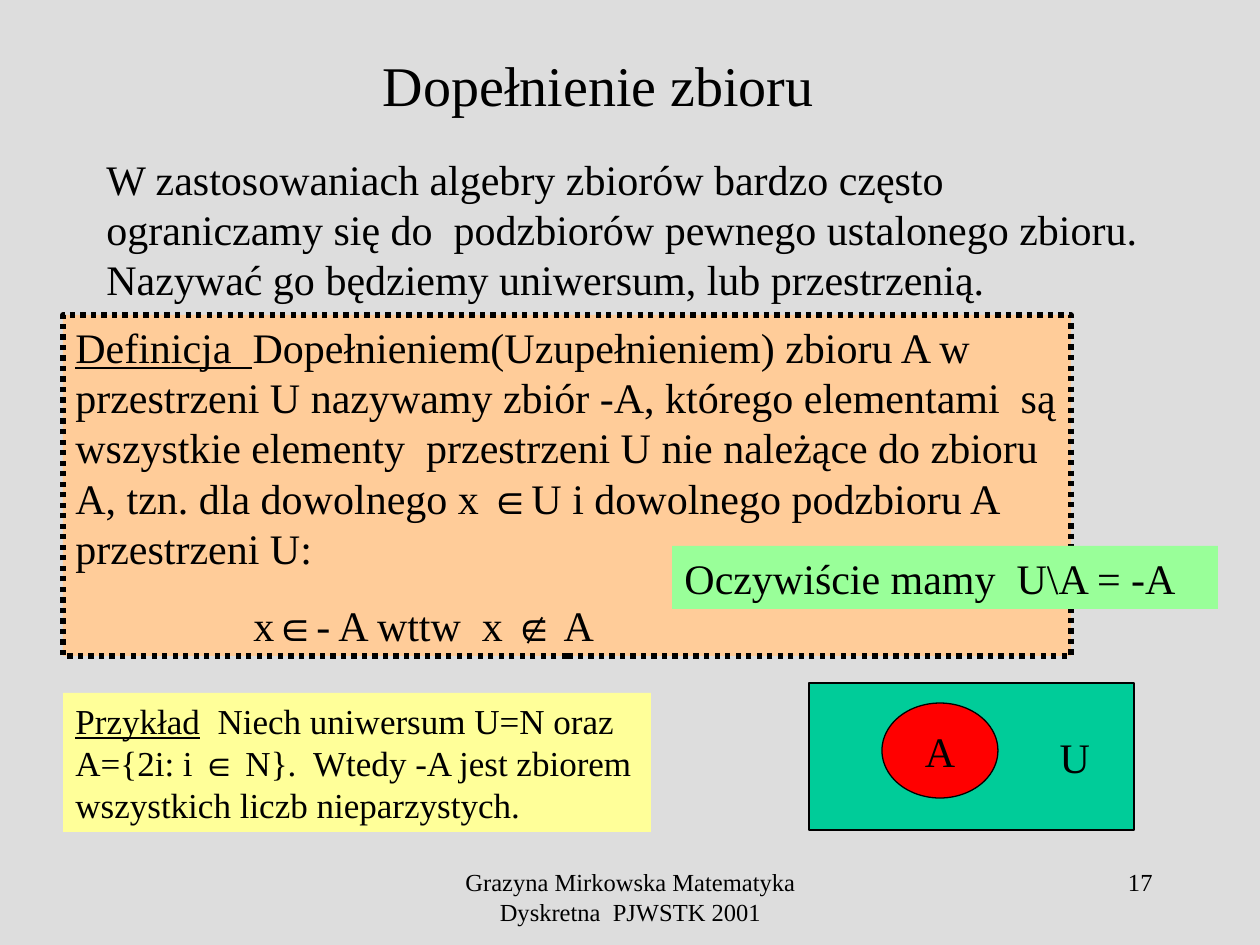
from dataclasses import dataclass
from typing import Optional

from pptx import Presentation
from pptx.dml.color import RGBColor
from pptx.enum.dml import MSO_LINE
from pptx.enum.shapes import MSO_SHAPE as Preset
from pptx.enum.text import MSO_ANCHOR as Anchor, MSO_AUTO_SIZE as AutoSize, PP_ALIGN as Align
from pptx.util import Emu, Pt

PX_PER_INCH = 126
SERIF, SYMBOL = "Times New Roman", "Arial"
COLORS = {
    "page": "DDDDDD", "ink": "000000", "definition": "FFCC99", "remark": "99FF99",
    "example": "FFFF99", "universe": "00CC99", "subset": "FF0000",
}


@dataclass(frozen=True)
class Span:
    text: str
    font: str = SERIF
    underline: bool = False


@dataclass(frozen=True)
class Line:
    spans: tuple[Span, ...]
    before: float = 0
    indent: int = 0


@dataclass(frozen=True)
class Panel:
    place: tuple[int, int, int, int]
    lines: tuple[Line, ...]
    size: int = 24
    fill: Optional[str] = None
    border: float = 0
    dotted: bool = False
    preset: Preset = Preset.RECTANGLE
    align: Align = Align.LEFT
    anchor: Anchor = Anchor.TOP
    right_inset: Optional[int] = None


def px(length: int) -> Emu:
    return Emu(round(length * 914400 / PX_PER_INCH))


def color(name: str) -> RGBColor:
    return RGBColor.from_string(COLORS[name])


def plain(text: str) -> tuple[Line, ...]:
    return (Line((Span(text),)),)


def write(box, panel: Panel) -> None:
    frame = box.text_frame
    frame.word_wrap = True
    frame.auto_size = AutoSize.NONE
    frame.vertical_anchor = panel.anchor
    if panel.right_inset is not None:
        frame.margin_right = px(panel.right_inset)
    for index, line in enumerate(panel.lines):
        para = frame.add_paragraph() if index else frame.paragraphs[0]
        para.alignment = panel.align
        para.space_before = Pt(line.before)
        if line.indent:
            para._p.get_or_add_pPr().set("indent", str(px(line.indent)))
        for span in line.spans:
            run = para.add_run()
            run.text = span.text
            run.font.name = span.font
            run.font.size = Pt(panel.size)
            run.font.underline = span.underline
            run.font.color.rgb = color("ink")


def draw(page, panel: Panel) -> None:
    place = [px(length) for length in panel.place]
    if panel.fill is None:
        box = page.shapes.add_textbox(*place)
    else:
        box = page.shapes.add_shape(panel.preset, *place)
        box.shadow.inherit = False
        box.fill.solid()
        box.fill.fore_color.rgb = color(panel.fill)
        if panel.border:
            box.line.color.rgb = color("ink")
            box.line.width = Pt(panel.border)
            if panel.dotted:
                box.line.dash_style = MSO_LINE.ROUND_DOT
        else:
            box.line.fill.background()
    write(box, panel)


MEMBER, NOT_MEMBER = Span("∈", SYMBOL), Span("∉", SYMBOL)

TITLE = Panel((63, 21, 1071, 126), plain("Dopełnienie zbioru"), size=32,
              align=Align.CENTER, anchor=Anchor.MIDDLE)

PANELS = (
    # Definition
    Panel((63, 315, 1008, 341), (
        Line((Span("Definicja  ", underline=True),
              Span("Dopełnieniem(Uzupełnieniem) zbioru A w przestrzeni U nazywamy "
                   "zbiór -A, którego elementami  są wszystkie elementy  przestrzeni U "
                   "nie należące do zbioru A, tzn. dla dowolnego x "),
              MEMBER, Span("U i dowolnego podzbioru A przestrzeni U:"))),
        Line((Span("x"), MEMBER, Span("- A wttw  x "), NOT_MEMBER, Span(" A")),
             before=15, indent=178),
    ), fill="definition", border=3, dotted=True),
    # Introduction
    Panel((94, 147, 1081, 164), plain(
        "W zastosowaniach algebry zbiorów bardzo często ograniczamy się do  podzbiorów "
        "pewnego ustalonego zbioru. Nazywać go będziemy uniwersum, lub przestrzenią.")),
    # Remark
    Panel((672, 546, 546, 63), plain("Oczywiście mamy  U\\A = -A"), fill="remark"),
    # Example
    Panel((63, 693, 588, 139), (
        Line((Span("Przykład", underline=True),
              Span("  Niech uniwersum U=N oraz A={2i: i "), MEMBER,
              Span(" N}.  Wtedy -A jest zbiorem wszystkich liczb nieparzystych."))),
    ), size=20, fill="example"),
    # Universe U with its subset A
    Panel((809, 683, 325, 147), plain("U"), fill="universe", border=0.75,
          align=Align.RIGHT, anchor=Anchor.MIDDLE, right_inset=44),
    Panel((882, 703, 116, 95), plain("A"), fill="subset", border=0.75,
          preset=Preset.OVAL, align=Align.CENTER, anchor=Anchor.MIDDLE),
    # Footer and page number
    Panel((431, 861, 399, 63), plain("Grazyna Mirkowska Matematyka Dyskretna  PJWSTK 2001"),
          size=14, align=Align.CENTER),
    Panel((903, 861, 262, 63), plain("17"), size=14, align=Align.RIGHT),
)


def main() -> None:
    deck = Presentation()
    deck.slide_width, deck.slide_height = px(1260), px(945)
    page = deck.slides.add_slide(deck.slide_layouts[5])
    page.background.fill.solid()
    page.background.fill.fore_color.rgb = color("page")

    title = page.shapes.title
    title.left, title.top, title.width, title.height = map(px, TITLE.place)
    write(title, TITLE)
    for panel in PANELS:
        draw(page, panel)
    deck.save("out.pptx")


if __name__ == "__main__":
    main()
